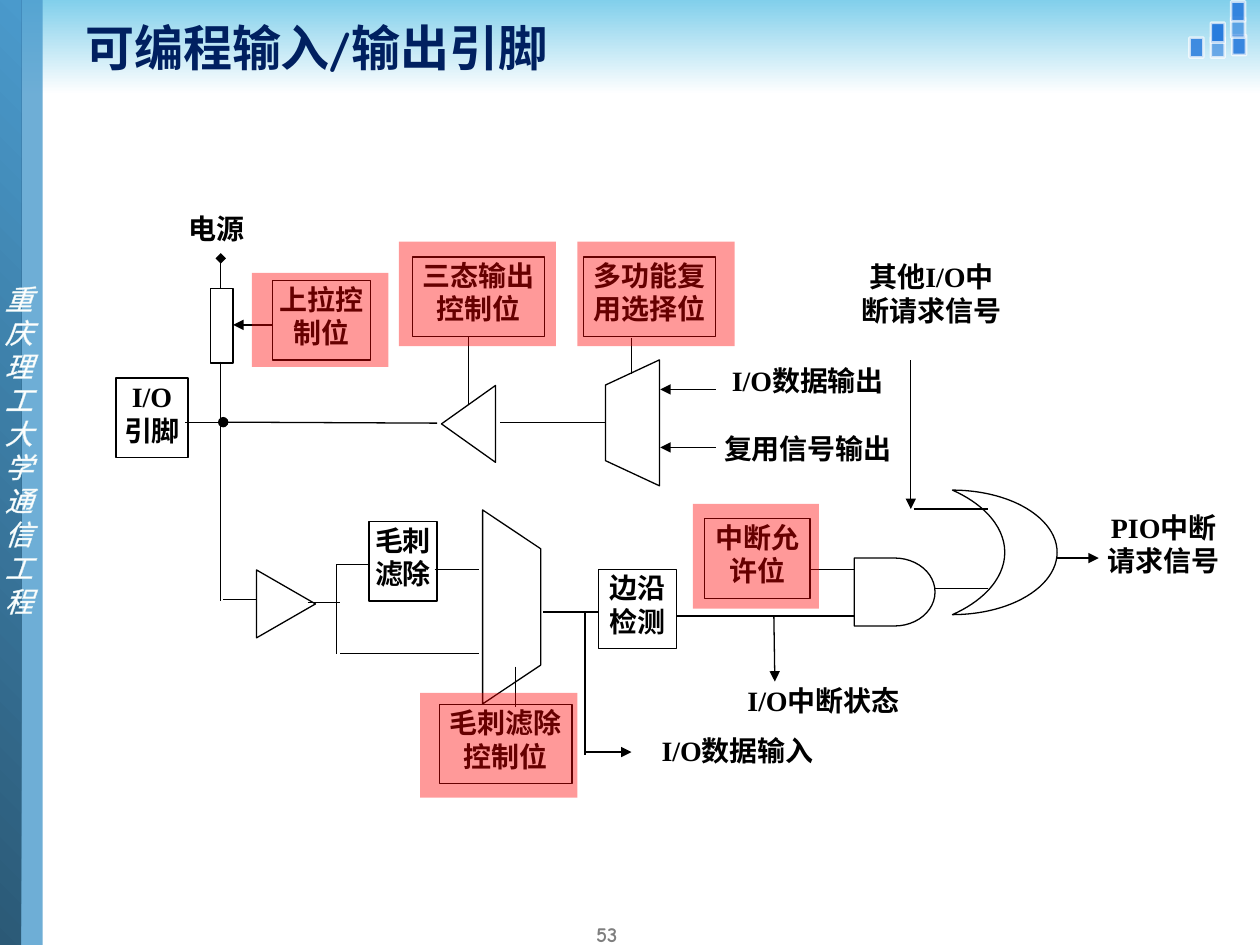
"""Build the slide showing the block diagram of a programmable input/output pin."""
import pptx
import pptx.dml.color
import pptx.enum.shapes
import pptx.enum.text
import pptx.oxml
import pptx.oxml.ns
import pptx.util

Cm = pptx.util.Cm
Pt = pptx.util.Pt
RGBColor = pptx.dml.color.RGBColor
SHAPES = pptx.enum.shapes.MSO_SHAPE
ALIGN = pptx.enum.text.PP_ALIGN
ANCHOR = pptx.enum.text.MSO_ANCHOR

BLACK = RGBColor(0x00, 0x00, 0x00)
WHITE = RGBColor(0xFF, 0xFF, 0xFF)
RED = RGBColor(0xFF, 0x00, 0x00)
NAVY = RGBColor(0x00, 0x20, 0x60)
GRAY = RGBColor(0x7F, 0x7F, 0x7F)
SKY = RGBColor(0x81, 0xCF, 0xEB)
BLUE = RGBColor(0x29, 0x7C, 0xDD)
STEEL = RGBColor(0x4A, 0x9A, 0xCC)
DEEP = RGBColor(0x2B, 0x59, 0x76)
NAMESPACE = pptx.oxml.ns.nsdecls("a")


def add_box(kind, frame, fill=WHITE, line=None, opacity=100, rotation=0):
    shape = slide.shapes.add_shape(kind, *map(Cm, frame))
    shape.shadow.inherit = False
    shape.rotation = rotation
    if isinstance(fill, list):
        shape.fill.gradient()
        for stop, color in zip(shape.fill.gradient_stops, fill):
            stop.color.rgb = color
    else:
        shape.fill.solid()
        shape.fill.fore_color.rgb = fill
    if opacity < 100:
        color = shape.fill._xPr.find(".//" + pptx.oxml.ns.qn("a:srgbClr"))
        color.append(pptx.oxml.parse_xml(f'<a:alpha {NAMESPACE} val="{opacity * 1000}"/>'))
    if line is None:
        shape.line.fill.background()
    else:
        shape.line.color.rgb = line
        shape.line.width = Pt(0.75)
    return shape


def write(shape, text, font, size, color, alignment, anchor=ANCHOR.TOP, bold=True):
    text_frame = shape.text_frame
    text_frame.word_wrap = True
    text_frame.vertical_anchor = anchor
    text_frame.text = text
    paragraph = text_frame.paragraphs[0]
    paragraph.alignment = alignment
    run = paragraph.runs[0]
    run.font.name = font
    run.font.size = Pt(size)
    run.font.bold = bold
    run.font.color.rgb = color
    return run


presentation = pptx.Presentation()
presentation.slide_width = Cm(25.4)
presentation.slide_height = Cm(19.05)
slide = presentation.slides.add_slide(presentation.slide_layouts[6])

header = add_box(SHAPES.RECTANGLE, (0, 0, 25.4, 1.9), [SKY, WHITE])
header.fill.gradient_angle = 270

for left, top, opacity in [
    (24.84, 0.71, 90), (24.41, 0.76, 60), (23.98, 0.76, 85),
    (24.41, 0.46, 100), (24.82, 0.36, 60), (24.82, 0.03, 90),
]:
    square = add_box(SHAPES.RECTANGLE, (left, top, 0.28, 0.4), BLUE, WHITE, opacity)
    square.line.width = Pt(1.5)
    edge = square.line._ln.find(".//" + pptx.oxml.ns.qn("a:srgbClr"))
    edge.append(pptx.oxml.parse_xml(f'<a:alpha {NAMESPACE} val="70000"/>'))

add_box(SHAPES.RECTANGLE, (0.28, 0, 0.58, 19.05), STEEL, opacity=80)
side_band = add_box(SHAPES.RECTANGLE, (-0.03, 0, 0.46, 19.13), [DEEP, STEEL])
side_band.fill.gradient_angle = 45

side_name = slide.shapes.add_textbox(Cm(-0.15), Cm(5.56), Cm(1.35), Cm(7.09))
side_run = write(side_name, "重庆理工大学通信工程", "Arial", 16, WHITE, ALIGN.LEFT, bold=False)
side_run.font.italic = True
side_run.font._element.insert(0, pptx.oxml.parse_xml(
    f'<a:ln {NAMESPACE} w="10160"><a:solidFill><a:srgbClr val="DAEDEF"/></a:solidFill></a:ln>'))

title = slide.shapes.add_textbox(Cm(1.47), Cm(0), Cm(23.93), Cm(1.9))
write(title, "可编程输入/输出引脚", "Comic Neue", 28, NAVY, ALIGN.LEFT, ANCHOR.MIDDLE)
page_number = slide.shapes.add_textbox(Cm(11), Cm(18.62), Cm(1.7), Cm(0.43))
write(page_number, "53", "Comic Neue", 12, GRAY, ALIGN.RIGHT, ANCHOR.MIDDLE)

add_box(SHAPES.RECTANGLE, (4.24, 5.82, 0.46, 1.5), line=BLACK)
for kind, frame, rotation in [
    (SHAPES.ISOSCELES_TRIANGLE, (8.67, 8, 1.55, 1.09), 270),
    (SHAPES.FLOWCHART_MANUAL_OPERATION, (11.48, 7.98, 2.54, 1.09), 90),
    (SHAPES.ISOSCELES_TRIANGLE, (5.08, 11.58, 1.37, 1.19), 90),
    (SHAPES.FLOWCHART_MANUAL_OPERATION, (8.36, 11.65, 3.91, 1.17), 270),
    (SHAPES.FLOWCHART_DELAY, (17.22, 11.25, 1.63, 1.37), 0),
    (SHAPES.MOON, (19.2, 9.88, 2.11, 2.51), 180),
]:
    add_box(kind, frame, line=BLACK, rotation=rotation)

for text, frame, line in [
    ("I/O引脚", (2.34, 7.62, 1.45, 1.6), BLACK),
    ("上拉控制位", (5.49, 5.66, 1.98, 1.6), BLACK),
    ("三态输出控制位", (8.31, 5.18, 2.67, 1.6), BLACK),
    ("多功能复用选择位", (11.76, 5.18, 2.67, 1.6), BLACK),
    ("毛刺滤除", (7.44, 10.52, 1.37, 1.6), BLACK),
    ("毛刺滤除控制位", (8.86, 14.2, 2.67, 1.6), BLACK),
    ("边沿检测", (12.07, 11.48, 1.57, 1.6), BLACK),
    ("中断允许位", (14.2, 10.46, 2.13, 1.6), BLACK),
    ("I/O数据输出", (14.43, 7.29, 3.71, 0.86), None),
    ("复用信号输出", (14.43, 8.66, 3.71, 0.91), None),
    ("其他I/O中断请求信号", (17.22, 5.21, 3.12, 1.6), None),
    ("PIO中断请求信号", (22.15, 10.26, 2.62, 1.6), None),
    ("I/O数据输入", (13.08, 14.76, 3.58, 1.02), None),
    ("I/O中断状态", (14.81, 13.74, 3.58, 1.02), None),
    ("电源", (3.58, 4.24, 1.57, 0.84), None),
]:
    block = add_box(SHAPES.RECTANGLE, frame, line=line)
    block.text_frame.margin_left = block.text_frame.margin_right = Cm(0.05)
    block.text_frame.margin_top = block.text_frame.margin_bottom = Cm(0.03)
    write(block, text, "Times New Roman", 16, BLACK, ALIGN.CENTER)

for points, head, tail in [
    ((4.45, 7.29, 4.45, 12.12), None, None),
    ((4.45, 5.21, 4.45, 5.82), "diamond", None),
    ((4.7, 6.55, 5.49, 6.55), "triangle", None),
    ((9.45, 6.78, 9.45, 8.15), None, None),
    ((12.73, 6.81, 12.73, 7.54), None, None),
    ((4.5, 8.51, 8.81, 8.53), "oval", None),
    ((6.86, 13.17, 9.65, 13.17), None, None),
    ((10.08, 8.51, 12.22, 8.51), None, None),
    ((13.31, 7.85, 14.43, 7.85), "triangle", None),
    ((13.31, 9.02, 14.43, 9.02), "triangle", None),
    ((4.5, 12.09, 5.16, 12.09), None, None),
    ((10.95, 12.34, 12.07, 12.34), None, None),
    ((8.76, 11.48, 9.65, 11.48), None, None),
    ((16.33, 11.48, 17.22, 11.48), None, None),
    ((6.2, 12.15, 6.86, 12.15), None, None),
    ((6.78, 11.38, 7.44, 11.38), None, None),
    ((6.78, 11.38, 6.78, 13.18), None, None),
    ((10.39, 13.44, 10.39, 14.25), None, None),
    ((13.64, 12.42, 17.22, 12.42), None, None),
    ((18.85, 11.86, 19.91, 11.86), None, None),
    ((18.36, 7.26, 18.36, 10.26), None, "triangle"),
    ((18.42, 10.26, 19.91, 10.26), None, None),
    ((21.31, 11.25, 22.15, 11.25), None, "triangle"),
    ((15.6, 12.42, 15.62, 13.74), None, "triangle"),
    ((11.79, 12.32, 11.79, 15.21), None, None),
    ((11.79, 15.16, 12.73, 15.16), None, "triangle"),
    ((3.73, 8.51, 4.7, 8.51), None, None),
]:
    wire = slide.shapes.add_connector(
        pptx.enum.shapes.MSO_CONNECTOR.STRAIGHT, *map(Cm, points))
    wire.line.color.rgb = BLACK
    wire.line.width = Pt(0.75)
    for tag, arrow in (("headEnd", head), ("tailEnd", tail)):
        if arrow:
            wire.line._ln.append(pptx.oxml.parse_xml(f'<a:{tag} {NAMESPACE} type="{arrow}"/>'))
    wire._element.spPr.append(pptx.oxml.parse_xml(f"<a:effectLst {NAMESPACE}/>"))

for frame in [
    (5.08, 5.5, 2.75, 1.9),
    (8.47, 13.97, 3.17, 2.11),
    (8.04, 4.87, 3.17, 2.11),
    (11.64, 4.87, 3.17, 2.11),
    (13.97, 10.16, 2.54, 2.11),
]:
    add_box(SHAPES.RECTANGLE, frame, RED, opacity=40)

presentation.save("out.pptx")
